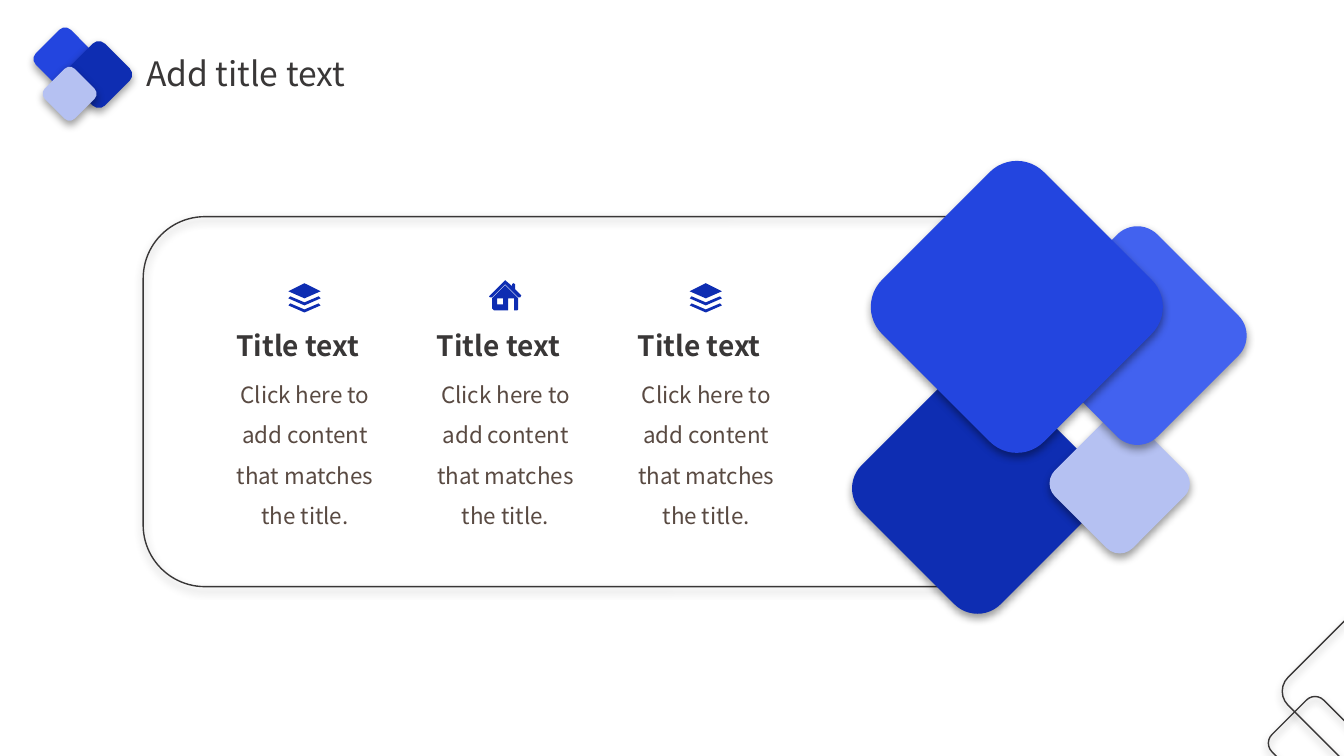
from lxml import etree
from pptx import Presentation
from pptx.dml.color import RGBColor
from pptx.enum.shapes import MSO_SHAPE as Preset
from pptx.enum.text import MSO_ANCHOR as Anchor, MSO_AUTO_SIZE as AutoSize, PP_ALIGN as Align
from pptx.oxml.ns import qn
from pptx.util import Inches, Pt

FONT = "Noto Sans CJK SC"
CELL = Inches(0.1)
COLORS = {
    "royal": "2345DF",
    "navy": "0E2DB2",
    "sky": "4262EF",
    "pale": "B5C1F2",
    "ink": "393737",
    "brown": "594A42",
}
LAYERS = [
    [(0, 8), (16, 0), (32, 8), (16, 15)],
    [(0, 15), (2, 13), (16, 19), (30, 13), (32, 15), (16, 22)],
    [(0, 22), (2, 20), (16, 26), (30, 20), (32, 22), (16, 29)],
]
HOUSE = [
    [(0, 16), (16, 0), (23, 6), (23, 4), (24, 3), (26, 4), (26, 9),
     (32, 15), (31, 17), (29, 17), (16, 4), (3, 17), (1, 17)],
    [(3, 18), (16, 5), (29, 18), (29, 29), (28, 30), (25, 30), (25, 18),
     (19, 18), (19, 30), (5, 30), (3, 28)],
    [(8, 18), (14, 18), (14, 24), (8, 24)],
]
ICONS = [(LAYERS, 3.1), (HOUSE, 2.8), (LAYERS, 3.1)]
HEADING = "Title text"
BODY = "Click here to add content that matches the title."


def cells(*values):
    return [round(v * CELL) for v in values]


def color(name):
    return RGBColor.from_string(COLORS[name])


def add_shadow(sp):
    sp.shadow.inherit = False
    effects = sp._element.spPr.find(qn("a:effectLst"))
    shadow = etree.SubElement(effects, qn("a:outerShdw"), blurRad=str(Pt(6)),
                              dist=str(Pt(3)), dir="5400000", algn="t", rotWithShape="0")
    black = etree.SubElement(shadow, qn("a:srgbClr"), val="000000")
    etree.SubElement(black, qn("a:alpha"), val="39000")


def add_tile(slide, box, fill=None, rotation=45):
    sp = slide.shapes.add_shape(Preset.ROUNDED_RECTANGLE, *cells(*box))
    sp.rotation = rotation
    if fill:
        sp.fill.solid()
        sp.fill.fore_color.rgb = color(fill)
        sp.line.fill.background()
    else:
        sp.fill.background()
        sp.line.color.rgb = color("ink")
        sp.line.width = Pt(1)
    add_shadow(sp)


def add_cluster(slide, left, top, tiles):
    for x, y, size, fill in tiles:
        add_tile(slide, (left + x, top + y, size, size), fill)


def write(sp, text, size, ink, bold=False, align=Align.LEFT, wrap=False):
    tf = sp.text_frame
    tf.text = text
    tf.word_wrap = wrap
    tf.auto_size = AutoSize.SHAPE_TO_FIT_TEXT
    tf.vertical_anchor = Anchor.TOP
    p = tf.paragraphs[0]
    p.alignment = align
    font = p.runs[0].font
    font.name, font.size, font.bold = FONT, Pt(size), bold
    font.color.rgb = color(ink)
    return p


def add_icon(slide, left, top, outlines):
    first, *rest = outlines
    builder = slide.shapes.build_freeform(*first[0], scale=Inches(0.01))
    builder.add_line_segments(first[1:])
    for outline in rest:
        builder.move_to(*outline[0])
        builder.add_line_segments(outline[1:])
    sp = builder.convert_to_shape(*cells(left, top))
    sp.fill.solid()
    sp.fill.fore_color.rgb = color("navy")
    sp.line.fill.background()
    sp.shadow.inherit = False


def add_header(slide, left, top):
    title = slide.shapes.title
    title.left, title.top, title.width, title.height = cells(left + 9.5, top + 1.3, 23, 5)
    write(title, "Add title text", 24, "ink")
    add_cluster(slide, left, top, [
        (0, 0, 4.9, "royal"), (3.2, 1.4, 5.2, "navy"), (0.8, 3.8, 4.2, "pale")])


def add_corner(slide, left, top):
    add_cluster(slide, left, top, [(0, 7.4, 7.25, None), (2, 0, 11.75, None)])


def add_panel(slide, left, top, width, height):
    add_tile(slide, (left, top, width, height), rotation=0)
    add_cluster(slide, left + 73, top - 2.4, [
        (0, 19.6, 19.5, "navy"), (18.4, 23.4, 10.9, "pale"),
        (17.1, 5.7, 17, "sky"), (2.3, 0, 22.7, "royal")])


def add_column(slide, left, top, width, icon, rise):
    add_icon(slide, left + 7.5, top - 7.1 + rise, icon)
    heading = slide.shapes.add_textbox(*cells(left + 1.35, top, 14.6, 4.4))
    write(heading, HEADING, 20, "ink", bold=True)
    body = slide.shapes.add_textbox(*cells(left, top + 3.9, width, 17.2))
    p = write(body, BODY, 16, "brown", align=Align.CENTER, wrap=True)
    p.line_spacing = 1.5


def main():
    prs = Presentation()
    prs.slide_width, prs.slide_height = Inches(13.33), Inches(7.5)
    slide = prs.slides.add_slide(prs.slide_layouts[5])
    add_header(slide, 4, 3.4)
    add_corner(slide, 126.8, 62.7)
    add_panel(slide, 14.2, 21.5, 89.2, 36.7)
    for i, (icon, rise) in enumerate(ICONS):
        add_column(slide, 21.1 + 19.9 * i, 32.1, 18.3, icon, rise)
    prs.save("out.pptx")


if __name__ == "__main__":
    main()
